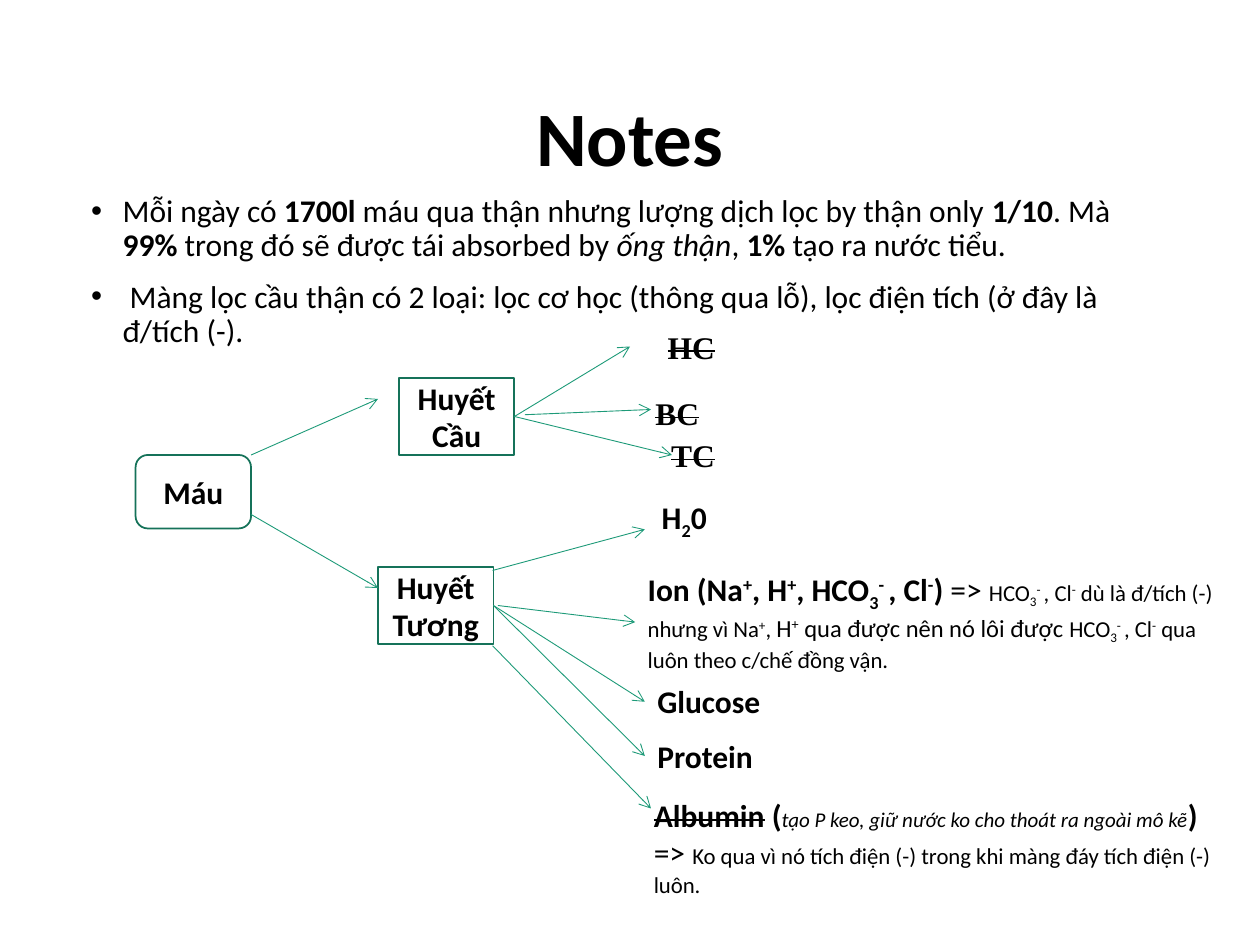
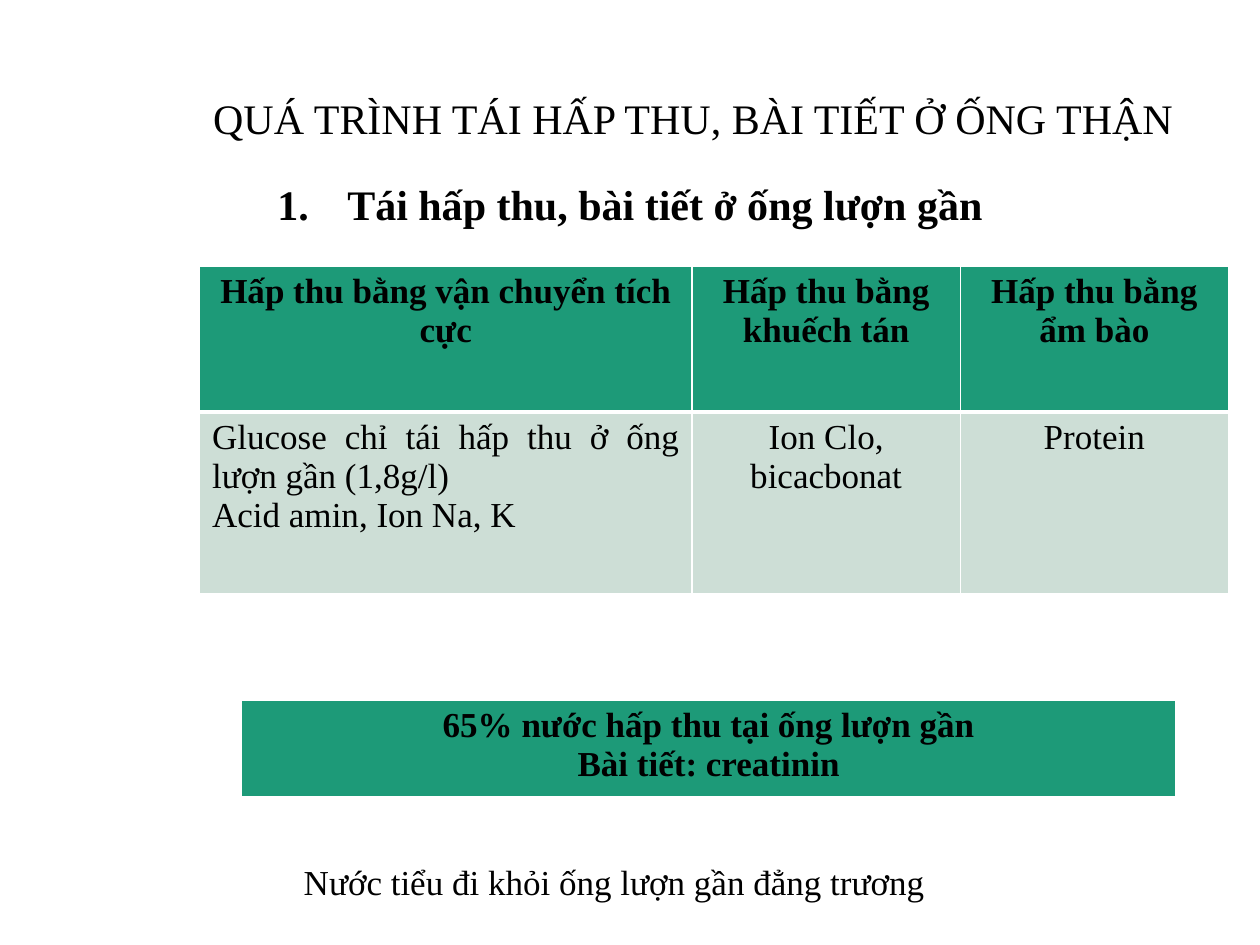
from lxml import etree
from pptx import Presentation
from pptx.dml.color import RGBColor
from pptx.enum.shapes import MSO_CONNECTOR, MSO_SHAPE
from pptx.enum.text import MSO_ANCHOR, PP_ALIGN
from pptx.oxml.ns import qn
from pptx.util import Pt

LEFT, CENTER, JUSTIFY = PP_ALIGN.LEFT, PP_ALIGN.CENTER, PP_ALIGN.JUSTIFY
TOP, MIDDLE = MSO_ANCHOR.TOP, MSO_ANCHOR.MIDDLE
RECTANGLE, ROUNDED = MSO_SHAPE.RECTANGLE, MSO_SHAPE.ROUNDED_RECTANGLE
STRAIGHT = MSO_CONNECTOR.STRAIGHT

COLORS = {"text": "000000", "green": "1D9A78", "outline": "157259",
          "pale": "CDDED6", "white": "FFFFFF"}
SANS, SERIF = "Calibri", "Times New Roman"

# A paragraph is a list of runs (text, marks, size); size is optional.
# Marks: b bold, i italic, s struck, ^ superscript, _ subscript.


def ions(marks, size):
    """Runs for the bicarbonate and chloride pair."""
    return [("HCO", marks, size), ("3", marks + "_", size), ("- ", marks + "^", size),
            (", Cl", marks, size), ("-", marks + "^", size)]


# Content of slide 1
NOTES_TITLE = [[("Notes", "b")]]
NOTES = [
    [("Mỗi ngày có ", ""), ("1700l ", "b"),
     ("máu qua thận nhưng lượng dịch lọc by thận only ", ""), ("1/10", "b"), (". Mà ", ""),
     ("99% ", "b"), ("trong đó sẽ được tái absorbed by ", ""), ("ống thận", "i"), (", ", ""),
     ("1% ", "b"), ("tạo ra nước tiểu.", "")],
    [(" Màng lọc cầu thận có 2 loại: lọc cơ học (thông qua lỗ), "
      "lọc điện tích (ở đây là đ/tích (-).", "")],
]
ION_NOTE = [("Ion (Na", "b"), ("+", "b^"), (", H", "b"), ("+", "b^"), (", ", "b"),
            *ions("b", 18), (") ", "b"), ("=> ", ""), *ions("", 13),
            (" dù là đ/tích (-) nhưng vì Na", "", 13), ("+", "^", 13), (", ", "", 13),
            ("H", "", 14), ("+", "^", 14), (" qua được nên nó lôi được ", "", 14),
            *ions("", 13), (" qua luôn theo c/chế đồng vận.", "", 13)]
ALBUMIN_NOTE = [
    [("Albumin", "bs"), (" (", "b"),
     ("tạo P keo, giữ nước ko cho thoát ra ngoài mô kẽ", "i", 12), (")", "b")],
    [("=> ", ""),
     ("Ko qua vì nó tích điện (-) trong khi màng đáy tích điện (-) luôn.", "", 13)],
]
BOXES = [  # outline, text, left, top, height
    (ROUNDED, "Máu", 77.5, 260, 42),
    (RECTANGLE, "Huyết Cầu", 228, 216, 44),
    (RECTANGLE, "Huyết Tương", 216, 324, 44),
]
BOX_WIDTH, LABEL_HEIGHT = 66, 32
LABELS = [  # paragraphs, font, alignment, left, top, width
    ([[("HC", "bs")]], SERIF, CENTER, 365, 182, 60),
    ([[("BC", "bs")]], SERIF, CENTER, 363, 220, 48),
    ([[("TC", "bs")]], SERIF, CENTER, 372, 244, 48),
    ([[("H", "b"), ("2", "b_"), ("0", "b")]], SANS, CENTER, 367, 281, 48),
    ([ION_NOTE], SANS, LEFT, 363, 339, 353),
    ([[("Glucose", "b")]], SANS, LEFT, 368.5, 384.5, 79),
    ([[("Protein", "b")]], SANS, LEFT, 368.5, 416, 71),
    (ALBUMIN_NOTE, SANS, LEFT, 366.5, 468, 347),
]
ARROWS = [  # start, end
    ((143.5, 260), (216, 228)), ((143.5, 294), (216, 336)),
    ((294, 238), (360, 198)), ((300, 237), (372, 234)), ((294, 238), (384, 260)),
    ((281.5, 326), (368.5, 302.5)), ((284.5, 346), (363, 355.5)),
    ((282, 346), (368.5, 401)), ((282, 346), (368.5, 432)), ((281.5, 369), (372, 462)),
]

# Content of slide 2
TUBULE_TITLE = [[("QUÁ TRÌNH TÁI HẤP THU, BÀI TIẾT Ở ỐNG THẬN", "")]]
TUBULE_HEADING = [[("Tái hấp thu, bài tiết ở ống lượn gần", "b")]]
TRANSPORT_ROWS = [
    [["Hấp thu bằng vận chuyển tích cực"], ["Hấp thu bằng khuếch tán"],
     ["Hấp thu bằng ẩm bào"]],
    [["Glucose chỉ tái hấp thu ở ống lượn gần (1,8g/l)", "Acid amin, Ion Na, K"],
     ["Ion Clo, bicacbonat"], ["Protein"]],
]
WATER_ROWS = [[["65% nước hấp thu tại ống lượn gần", "Bài tiết: creatinin"]]]
CONCLUSION = [[("Nước tiểu đi khỏi ống lượn gần đẳng trương", "")]]


def rgb(name):
    return RGBColor.from_string(COLORS[name])


def points(*values):
    return [Pt(value) for value in values]


def add_bullet(paragraph, bullet, indent):
    properties = paragraph._p.get_or_add_pPr()
    properties.set("marL", str(Pt(indent)))
    properties.set("indent", str(-Pt(indent)))
    if bullet == "•":
        etree.SubElement(properties, qn("a:buFont"), typeface="Arial")
        etree.SubElement(properties, qn("a:buChar"), char=bullet)
    else:
        etree.SubElement(properties, qn("a:buAutoNum"), type=bullet)


def write(frame, paragraphs, font, size, align=LEFT, anchor=MIDDLE,
          spacing=None, bullet=None, indent=0):
    """Fill a text frame with paragraphs of marked runs."""
    frame.word_wrap = True
    frame.vertical_anchor = anchor
    for index, runs in enumerate(paragraphs):
        paragraph = frame.add_paragraph() if index else frame.paragraphs[0]
        if bullet:
            add_bullet(paragraph, bullet, indent)
            if index:
                paragraph.space_before = Pt(10)
        paragraph.alignment = align
        if spacing:
            paragraph.line_spacing = spacing
        paragraph.font.name = font
        paragraph.font.size = Pt(size)
        paragraph.font.color.rgb = rgb("text")
        for text, marks, *own_size in runs:
            run = paragraph.add_run()
            run.text = text
            run.font.bold = "b" in marks
            run.font.italic = "i" in marks
            if own_size:
                run.font.size = Pt(own_size[0])
            properties = run._r.get_or_add_rPr()
            if "s" in marks:
                properties.set("strike", "sngStrike")
            if "^" in marks:
                properties.set("baseline", "30000")
            if "_" in marks:
                properties.set("baseline", "-25000")


def add_text(slide, place, paragraphs, font, size, **options):
    write(slide.shapes.add_textbox(*points(*place)).text_frame,
          paragraphs, font, size, **options)


def add_title(slide, place, paragraphs, font, size):
    add_text(slide, place, paragraphs, font, size, align=CENTER, spacing=0.9)


def add_box(slide, outline, text, left, top, height):
    shape = slide.shapes.add_shape(outline, *points(left, top, BOX_WIDTH, height))
    shape.shadow.inherit = False
    shape.fill.background()
    shape.line.color.rgb = rgb("outline")
    shape.line.width = Pt(1)
    write(shape.text_frame, [[(text, "b")]], SANS, 18, align=CENTER)


def add_arrow(slide, start, end):
    connector = slide.shapes.add_connector(STRAIGHT, *points(*start, *end))
    connector.line.color.rgb = rgb("green")
    connector.line.width = Pt(0.5)
    etree.SubElement(connector.line._get_or_add_ln(), qn("a:tailEnd"), type="arrow")
    etree.SubElement(connector._element.spPr, qn("a:effectLst"))


def add_borders(cell, widths):
    properties = cell._tc.get_or_add_tcPr()
    for side, width in widths.items():
        line = etree.SubElement(properties, qn("a:ln" + side), w=str(Pt(width)))
        fill = etree.SubElement(line, qn("a:solidFill"))
        etree.SubElement(fill, qn("a:srgbClr"), val=COLORS["white"])


def add_table(slide, left, top, widths, heights, rows):
    """Table with a green bold first row and pale rows below."""
    frame = slide.shapes.add_table(len(rows), len(widths),
                                   *points(left, top, sum(widths), sum(heights)))
    table = frame.table
    table.first_row = table.horz_banding = False
    for column, width in zip(table.columns, widths):
        column.width = Pt(width)
    for row_index, (row, height) in enumerate(zip(rows, heights)):
        table.rows[row_index].height = Pt(height)
        header = row_index == 0
        for column_index, lines in enumerate(row):
            cell = table.cell(row_index, column_index)
            add_borders(cell, {"L": 1, "R": 1, "T": 1 if header else 3,
                               "B": 3 if header else 1})
            cell.fill.solid()
            cell.fill.fore_color.rgb = rgb("green" if header else "pale")
            align = CENTER if header or column_index else JUSTIFY
            write(cell.text_frame, [[(line, "b" if header else "")] for line in lines],
                  SERIF, 20, align=align, anchor=TOP)


def build_notes(slide):
    add_title(slide, (50, 29, 620, 104), NOTES_TITLE, SANS, 44)
    add_text(slide, (45, 108, 620, 373), NOTES, SANS, 18, anchor=TOP,
             spacing=0.9, bullet="•", indent=18)
    for box in BOXES:
        add_box(slide, *box)
    for paragraphs, font, align, left, top, width in LABELS:
        add_text(slide, (left, top, width, LABEL_HEIGHT), paragraphs, font, 18, align=align)
    for start, end in ARROWS:
        add_arrow(slide, start, end)


def build_tubule(slide):
    add_title(slide, (96, 30, 600, 78), TUBULE_TITLE, SERIF, 24)
    add_text(slide, (36, 102, 648, 66), TUBULE_HEADING, SERIF, 24, align=CENTER,
             anchor=TOP, spacing=0.9, bullet="arabicPeriod", indent=40)
    add_table(slide, 114, 152, [281.5, 153.25, 153.25], [83.5, 104], TRANSPORT_ROWS)
    add_table(slide, 138, 400, [534], [56], WATER_ROWS)
    add_text(slide, (0, 488, 702, 32), CONCLUSION, SERIF, 20, align=CENTER, anchor=TOP)


def main():
    presentation = Presentation()
    presentation.slide_width, presentation.slide_height = points(720, 540)
    blank = presentation.slide_layouts[6]
    for build in (build_notes, build_tubule):
        build(presentation.slides.add_slide(blank))
    presentation.save("out.pptx")


if __name__ == "__main__":
    main()
